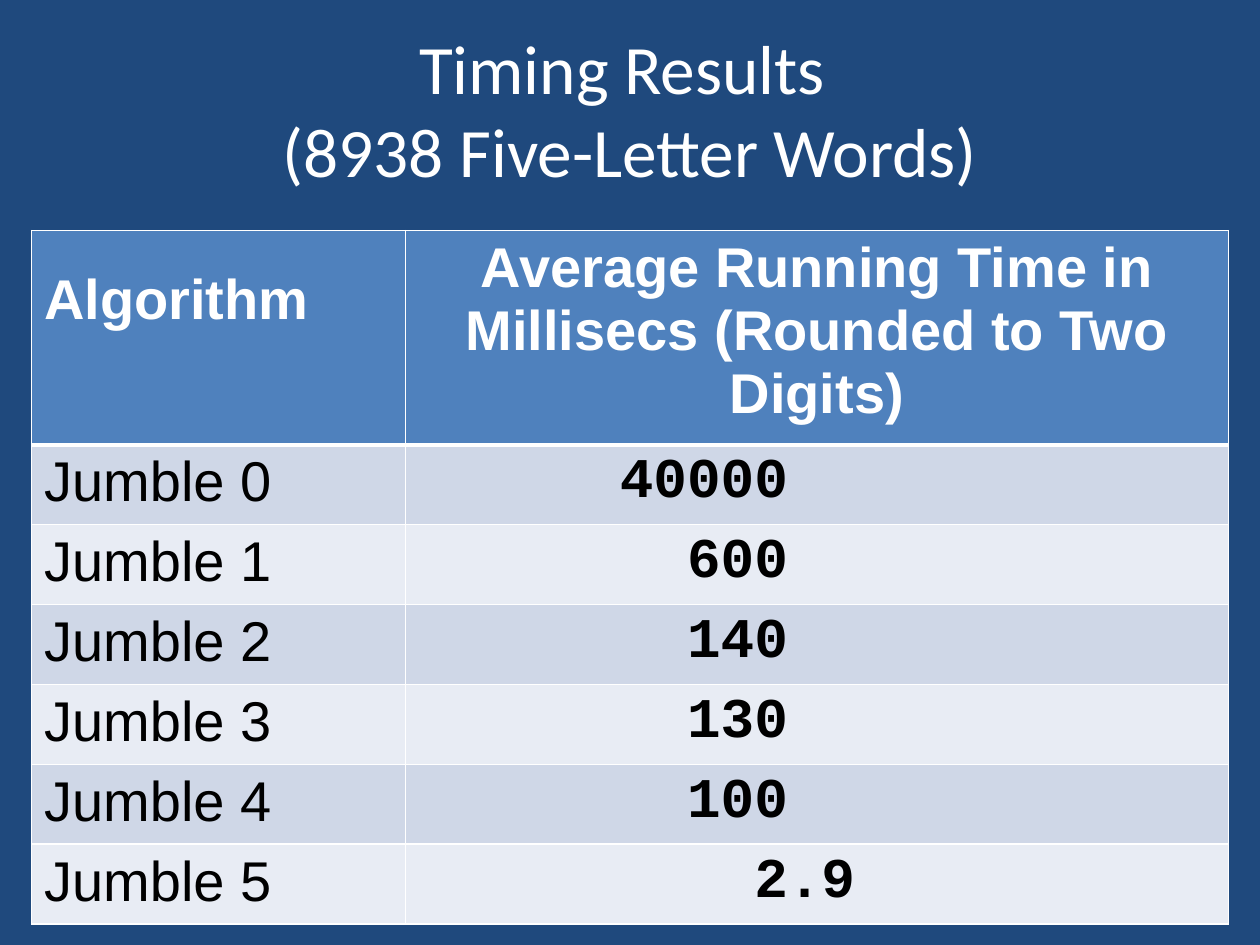
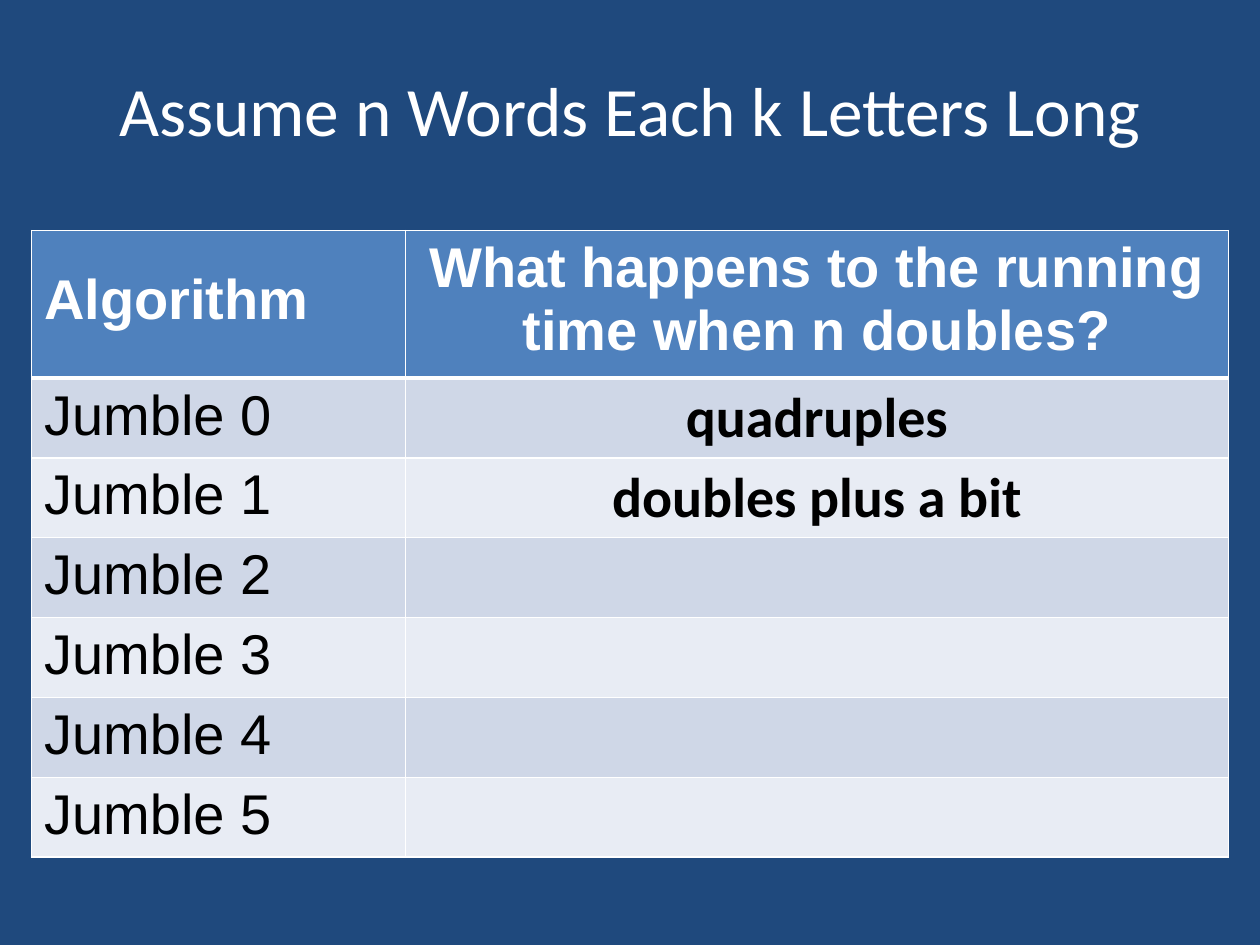
from pptx import Presentation
from pptx.dml.color import RGBColor
from pptx.enum.text import MSO_ANCHOR as ANCHOR, PP_ALIGN as ALIGN
from pptx.oxml.ns import qn
from pptx.util import Inches, Pt
from lxml.etree import SubElement

UNIT = 0.25  # grid: 40 columns by 30 rows
COLS, ROWS = 40, 30


def grid(n):
    return Inches(n * UNIT)


def rgb(color):
    return RGBColor.from_string(color)


def write(tf, text, font="Arial", size=32, color="000000", bold=False,
          align=ALIGN.LEFT, indent=0):
    """Fill the first paragraph; each newline becomes a line break."""
    p = tf.paragraphs[0]
    p.alignment = align
    if indent:
        p._p.get_or_add_pPr().set("marL", str(Pt(indent)))
    for i, line in enumerate(text.split("\n")):
        if i:
            p.add_line_break()
        r = p.add_run()
        r.text = line
        r.font.name, r.font.size, r.font.bold = font, Pt(size), bold
        r.font.color.rgb = rgb(color)


class Deck:
    BACK, WHITE, HEADER = "1F497D", "FFFFFF", "4F81BD"
    BANDS = ("CFD7E7", "E8ECF4")
    TABLE_COLS = (11.88, 26.12)
    HEADER_ROW, BODY_ROW = 4.68, 2.4

    def __init__(self):
        self.prs = Presentation()
        self.prs.slide_width, self.prs.slide_height = grid(COLS), grid(ROWS)

    def slide(self, title):
        self.s = self.prs.slides.add_slide(self.prs.slide_layouts[6])
        fill = self.s.background.fill
        fill.solid()
        fill.fore_color.rgb = rgb(self.BACK)
        sp = self.s.shapes.add_textbox(grid(2), grid(1.88), grid(36), grid(3.12))
        tf = sp.text_frame
        tf.word_wrap = True
        tf.vertical_anchor = ANCHOR.MIDDLE
        write(tf, title, font="Calibri", size=39.6, color=self.WHITE,
              align=ALIGN.CENTER)

    def paint(self, cell, color, top=1, bottom=1):
        """Borders first, then the fill, as the cell's XML order asks."""
        tcPr = cell._tc.get_or_add_tcPr()
        for side, width in zip("LRTB", (1, 1, top, bottom)):
            ln = SubElement(tcPr, qn("a:ln" + side), w=str(Pt(width)))
            solid = SubElement(ln, qn("a:solidFill"))
            SubElement(solid, qn("a:srgbClr"), val=self.WHITE)
        cell.fill.solid()
        cell.fill.fore_color.rgb = rgb(color)

    def table(self, question, answers, answer_format):
        """One row per algorithm; answer_format gives the format of an answer."""
        n = len(answers)
        frame = self.s.shapes.add_table(
            n + 1, 2, grid(1), grid(7.32), grid(sum(self.TABLE_COLS)),
            grid(self.HEADER_ROW + n * self.BODY_ROW))
        tbl = frame.table
        for col, width in zip(tbl.columns, self.TABLE_COLS):
            col.width = grid(width)
        for i, row in enumerate(tbl.rows):
            row.height = grid(self.BODY_ROW if i else self.HEADER_ROW)

        # Header
        head = dict(color=self.WHITE, bold=True)
        name, asked = tbl.rows[0].cells
        name.margin_top = Inches(0.3)
        write(name.text_frame, "Algorithm", **head)
        write(asked.text_frame, question, align=ALIGN.CENTER, **head)
        for cell in (name, asked):
            self.paint(cell, self.HEADER, bottom=3)

        # Banded body
        for i, answer in enumerate(answers):
            name, result = tbl.cell(i + 1, 0), tbl.cell(i + 1, 1)
            write(name.text_frame, f"Jumble {i}")
            if answer:
                write(result.text_frame, answer, bold=True, **answer_format(answer))
            for cell in (name, result):
                self.paint(cell, self.BANDS[i % 2], top=1 if i else 3)


def timing_format(value):
    """Line up the units digits in the eleventh monospaced character."""
    digits = len(value.split(".")[0])
    return dict(font="Courier New", indent=(11 - digits) * 0.6 * 32)


def growth_format(_):
    return dict(font="Calibri", align=ALIGN.CENTER)


def main():
    deck = Deck()

    # Measured times
    deck.slide("Timing Results \n(8938 Five-Letter Words)")
    deck.table("Average Running Time in Millisecs (Rounded to Two Digits)",
               ["40000", "600", "140", "130", "100", "2.9"], timing_format)

    # Growth with n
    deck.slide("Assume n Words Each k Letters Long")
    deck.table("What happens to the running time when n doubles?",
               ["quadruples", "doubles plus a bit", "", "", "", ""],
               growth_format)

    deck.prs.save("out.pptx")


if __name__ == "__main__":
    main()
